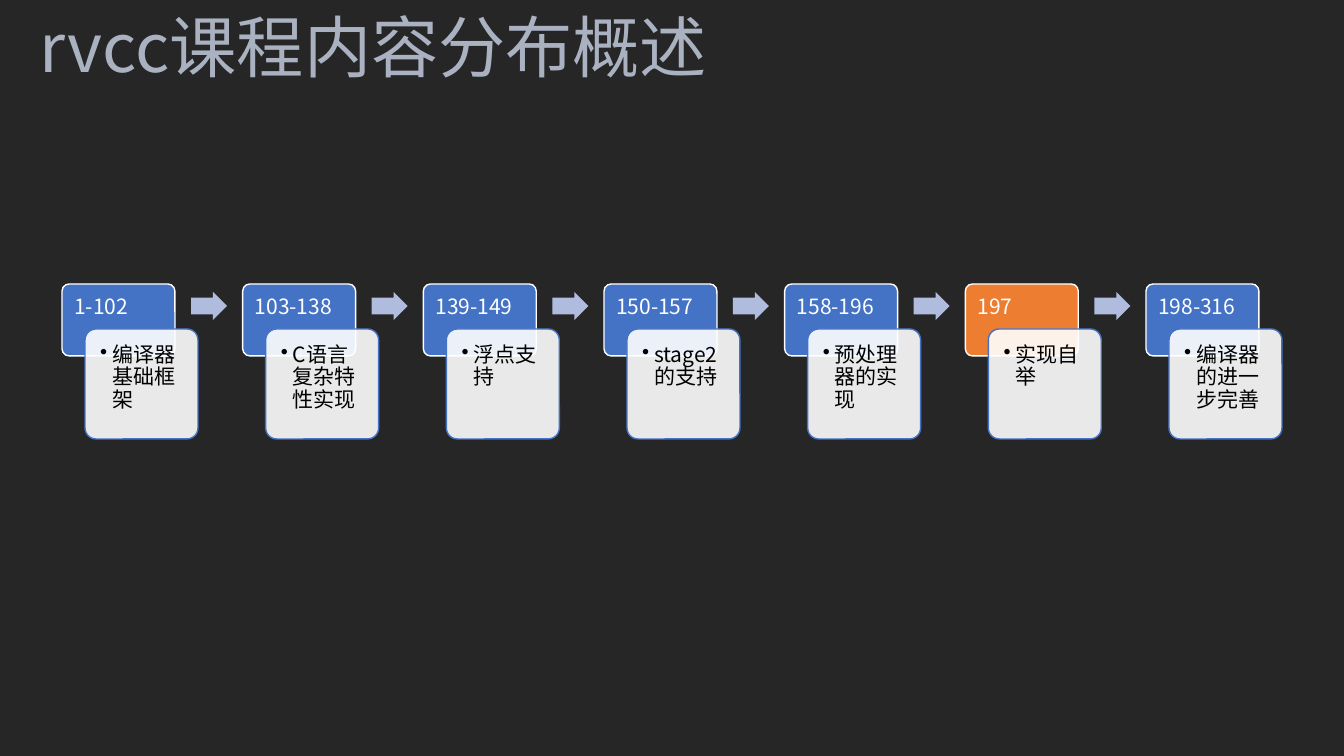
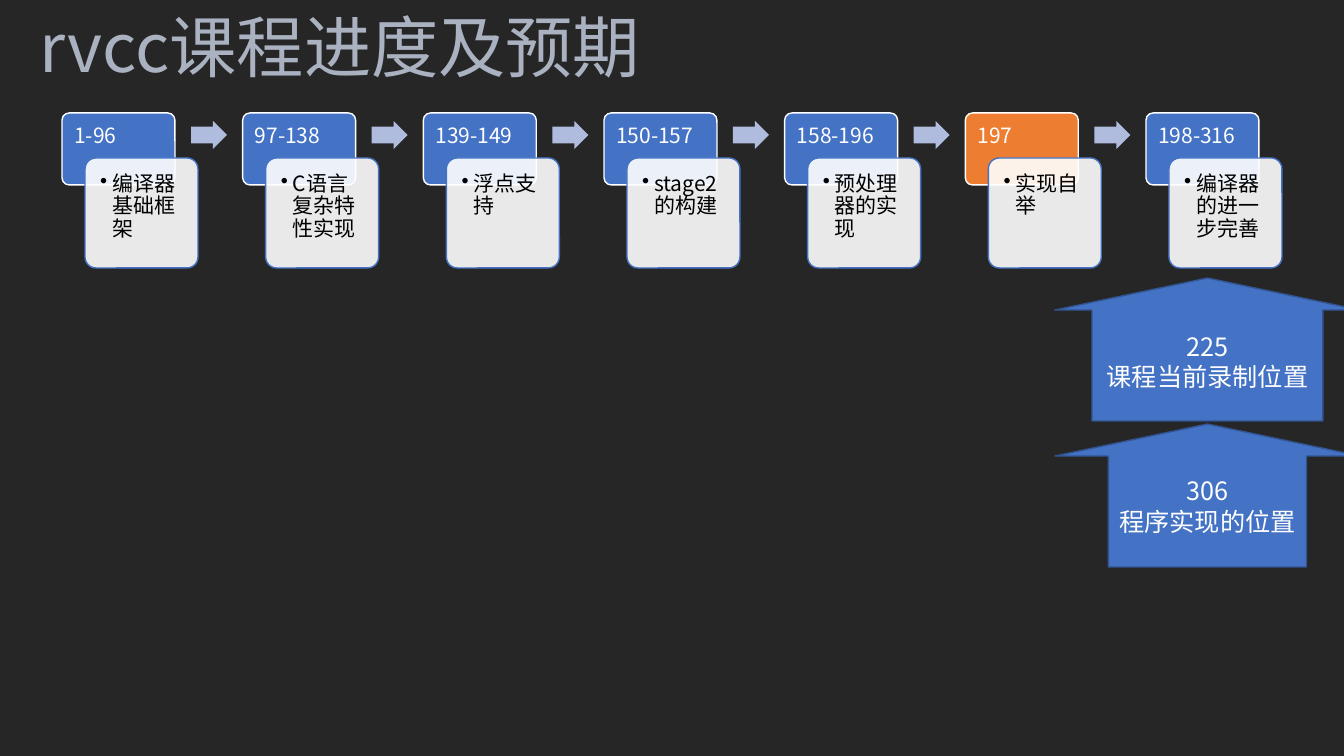
from lxml import etree
from pptx import Presentation, util as u
from pptx.dml.color import RGBColor
from pptx.enum import shapes, text
from pptx.oxml.ns import qn

W, H = 1344, 756
PX = 12192000 / W  # EMU per px
COLORS = dict(bg="262626", title="AAB2C1", blue="4472C4", orange="ED7D31",
              arrow="B0BCDE", edge="325491", white="FFFFFF", black="000000")
TITLE_FONT, BODY_FONT = "Noto Sans CJK JP", "Noto Sans CJK SC"
KIND = shapes.MSO_SHAPE

# Process row: header, card and arrow of each step
LEFT, LAST_LEFT = 62, 1146
BOX_W, HEAD_H, CARD_H = 113, 72, 110
CARD_DX, CARD_DY = 23, 45
ARROW_DX, ARROW_DY, ARROW_W, ARROW_H = 129, 8, 36, 28
INDENT = 12

SLIDES = [
    dict(title="rvcc课程内容分布概述", top=284, markers=[], steps=[
        ("1-102", "编译器基础框架"), ("103-138", "C语言复杂特性实现"),
        ("139-149", "浮点支持"), ("150-157", "stage2的支持"),
        ("158-196", "预处理器的实现"), ("197", "实现自举"),
        ("198-316", "编译器的进一步完善")]),
    dict(title="rvcc课程进度及预期", top=113, steps=[
        ("1-96", "编译器基础框架"), ("97-138", "C语言复杂特性实现"),
        ("139-149", "浮点支持"), ("150-157", "stage2的构建"),
        ("158-196", "预处理器的实现"), ("197", "实现自举"),
        ("198-316", "编译器的进一步完善")],
        markers=[(278, 0.757, ["225", "课程当前录制位置"]),
                 (424, 0.65, ["306", "程序实现的位置"])]),
]


def add_box(s, kind, box, fill, line=None, adj=()):
    sp = s.shapes.add_shape(kind, *[u.Emu(round(v * PX)) for v in box])
    sp.shadow.inherit = False
    sp.fill.solid()
    sp.fill.fore_color.rgb = RGBColor.from_string(COLORS[fill])
    if line:
        sp.line.color.rgb = RGBColor.from_string(COLORS[line])
        sp.line.width = u.Pt(1)
    else:
        sp.line.fill.background()
    for i, value in enumerate(adj):
        sp.adjustments[i] = value
    return sp


def write(sp, lines, size, color, insets, font=BODY_FONT, spacing=None,
          align=text.PP_ALIGN.LEFT, anchor=text.MSO_ANCHOR.TOP):
    tf = sp.text_frame
    tf.word_wrap = True
    tf.vertical_anchor = anchor
    tf.margin_left, tf.margin_top, tf.margin_right, tf.margin_bottom = [
        u.Emu(round(v * PX)) for v in insets]
    tf.text = "\n".join(lines)
    for p in tf.paragraphs:
        p.alignment = align
        p.line_spacing = spacing
        p.font.size = u.Pt(size)
        p.font.color.rgb = RGBColor.from_string(COLORS[color])
        p.font.name = font
        # East Asian typeface follows the Latin one
        etree.SubElement(p._p.pPr.find(qn("a:defRPr")), qn("a:ea"), typeface=font)
    return tf


prs = Presentation()
prs.slide_width, prs.slide_height = u.Emu(round(W * PX)), u.Emu(round(H * PX))

for page in SLIDES:
    s = prs.slides.add_slide(prs.slide_layouts[6])
    s.background.fill.solid()
    s.background.fill.fore_color.rgb = RGBColor.from_string(COLORS["bg"])

    # Title
    title = s.shapes.add_textbox(0, 0, u.Emu(round(753 * PX)), u.Emu(round(92 * PX)))
    write(title, [page["title"]], 48, "title", (40, 5, 0, 5), TITLE_FONT)

    # Process row
    steps, top = page["steps"], page["top"]
    pitch = (LAST_LEFT - LEFT) / (len(steps) - 1)
    for i, (lessons, topic) in enumerate(steps):
        x = LEFT + i * pitch
        head = add_box(s, KIND.ROUNDED_RECTANGLE, (x, top, BOX_W, HEAD_H),
                       "orange" if lessons == "197" else "blue", "white", [0.1])
        write(head, [lessons], 15, "white", (10, 10, 10, 6), spacing=0.9)

        card = add_box(s, KIND.ROUNDED_RECTANGLE,
                       (x + CARD_DX, top + CARD_DY, BOX_W, CARD_H),
                       "white", "blue", [0.1])
        rgb = card.fill._xPr.find(qn("a:solidFill")).find(qn("a:srgbClr"))
        etree.SubElement(rgb, qn("a:alpha"), val="90000")
        tf = write(card, [topic], 15, "black", (12, 12, 12, 12), spacing=0.9)
        pPr = tf.paragraphs[0]._p.pPr
        pPr.set("marL", str(round(INDENT * PX)))
        pPr.set("indent", str(round(-INDENT * PX)))
        bullet = etree.Element(qn("a:buChar"), char="•")
        pPr.find(qn("a:defRPr")).addprevious(bullet)

        if i < len(steps) - 1:
            add_box(s, KIND.RIGHT_ARROW,
                    (x + ARROW_DX, top + ARROW_DY, ARROW_W, ARROW_H),
                    "arrow", adj=[0.6, 0.5])

    # Progress markers
    for y, shaft, lines in page["markers"]:
        marker = add_box(s, KIND.UP_ARROW, (1055, y, 305, 143),
                         "blue", "edge", [shaft, 0.224])
        write(marker, lines, 18, "white", (10, 5, 10, 5),
              align=text.PP_ALIGN.CENTER, anchor=text.MSO_ANCHOR.MIDDLE)

prs.save("out.pptx")
